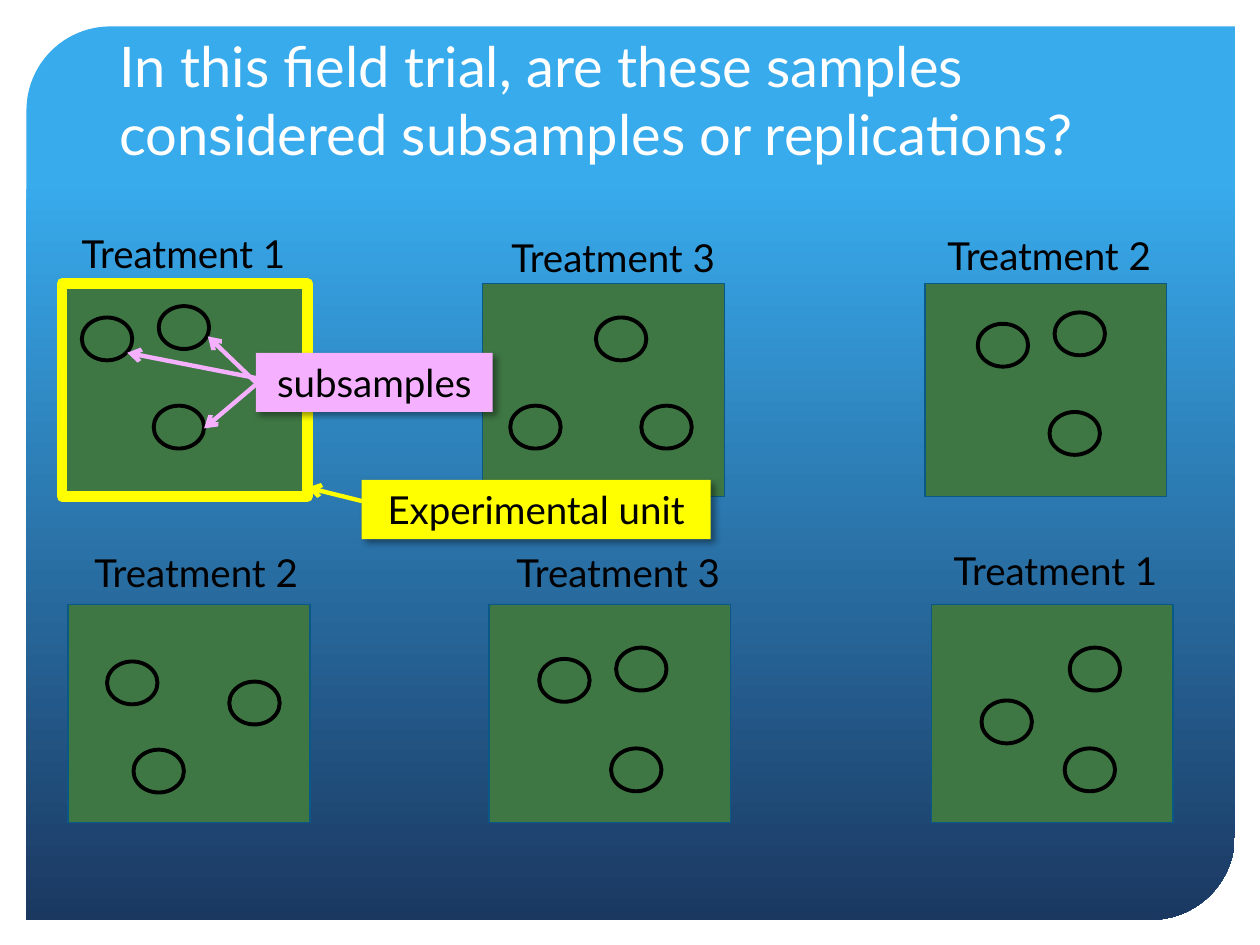
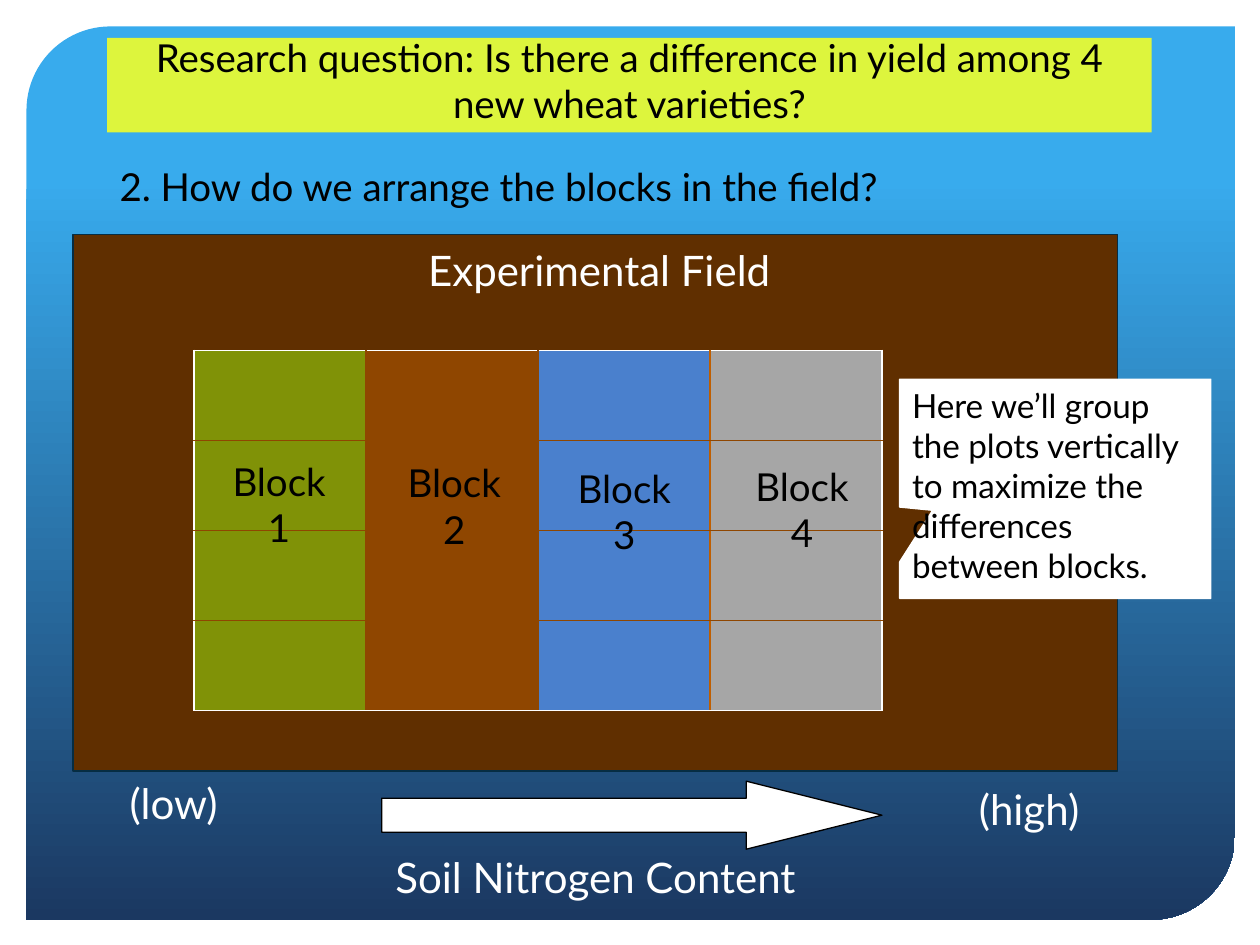
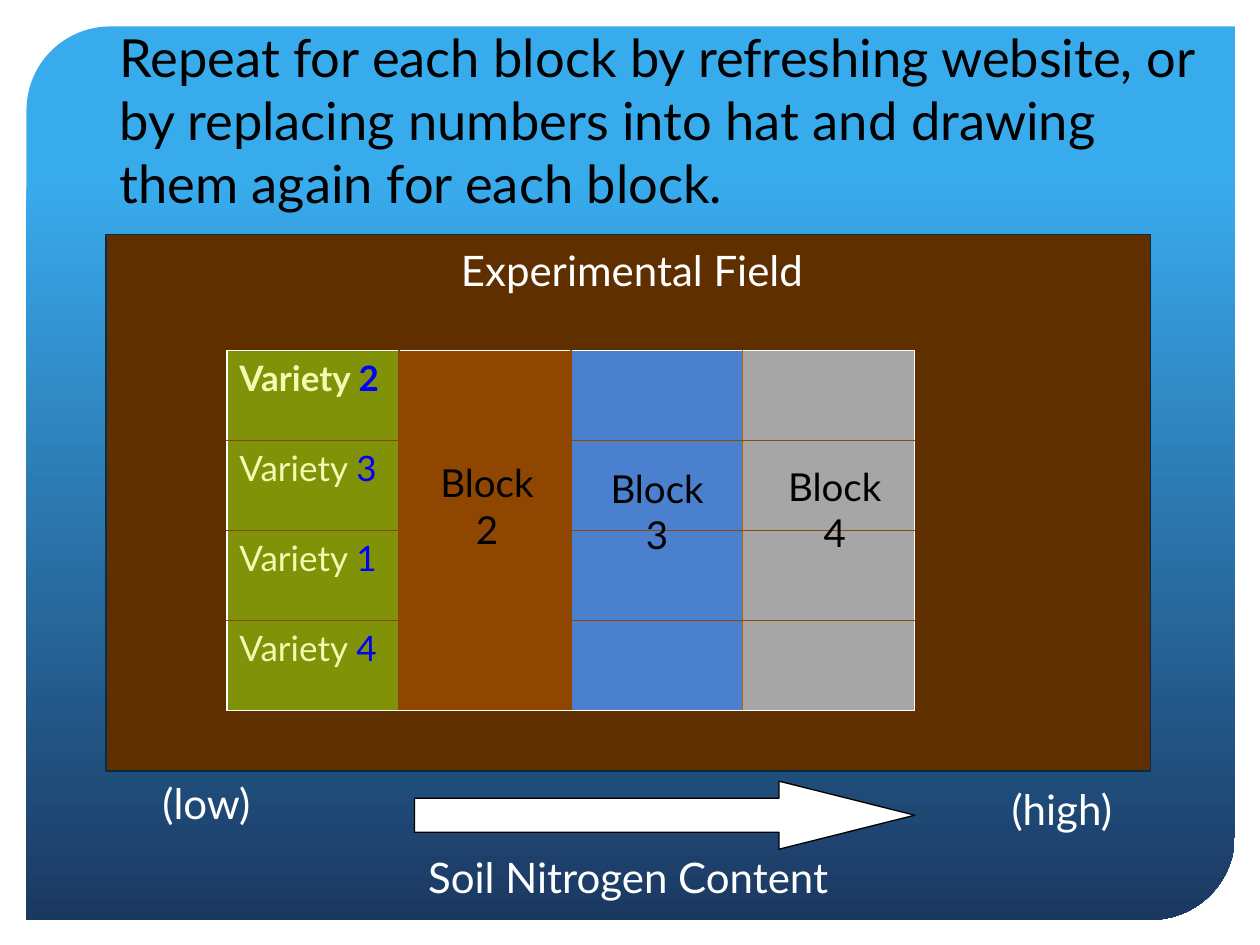
import lxml.etree
import pptx
import pptx.dml.color
import pptx.enum.shapes
import pptx.enum.text
import pptx.oxml.ns
import pptx.util

Inches = pptx.util.Inches
SHAPE = pptx.enum.shapes.MSO_SHAPE
ANCHOR = pptx.enum.text.MSO_ANCHOR
CENTER = pptx.enum.text.PP_ALIGN.CENTER
qn = pptx.oxml.ns.qn

BLACK, WHITE, YELLOW, PINK = "000000", "FFFFFF", "FFFF00", "F5B0FF"
SKY, NAVY, LIME = "38ABED", "1B3861", "DDF53D"
PLOT_GREEN, PLOT_EDGE = "3E7744", "095886"
SOIL, SOIL_EDGE = "602F00", "062D43"
BLOCK_FILLS = ["809207", "8F4600", "4A80CD", "A6A6A6"]
COLUMN_RULES = [WHITE, "8F4600", "8F4600", "BF5E00", WHITE]
ROW_RULES = [WHITE, "8F4600", "8F4600", "8F4600", WHITE]
VARIETY, VARIETY_NUMBER = "F1FBB1", "0000FF"

BLOCK_LABELS = {1: (1.01, 3.27), 2: (2.4, 3.28), 3: (3.75, 3.32), 4: (5.16, 3.31)}

PLOT_ROWS = [
    (2.25, 1.69, [
        (0.49, "Treatment 1", 0.55, 1.78, [(1.26, 2.43), (1.22, 3.22), (0.65, 2.52)]),
        (3.83, "Treatment 3", 3.96, 1.81, [(4.73, 2.52), (5.09, 3.22), (4.05, 3.22)]),
        (7.34, "Treatment 2", 7.42, 1.79, [(8.37, 2.48), (8.33, 3.27), (7.76, 2.57)]),
    ]),
    (4.8, 1.73, [
        (0.54, "Treatment 2", 0.65, 4.31, [(1.82, 5.41), (1.06, 5.95), (0.85, 5.25)]),
        (3.88, "Treatment 3", 4.0, 4.31, [(4.89, 5.14), (4.85, 5.94), (4.28, 5.23)]),
        (7.39, "Treatment 1", 7.47, 4.29, [(8.49, 5.14), (8.45, 5.94), (7.79, 5.56)]),
    ]),
]


def rgb(value):
    return pptx.dml.color.RGBColor.from_string(value)


def set_attrs(obj, values):
    for name, value in values.items():
        setattr(obj, name, value)


def add_run(p, text, size, color, bold=False):
    r = p.add_run()
    r.text = text
    set_attrs(r.font, {"name": "Lato", "size": pptx.util.Pt(size), "bold": bold})
    r.font.color.rgb = rgb(color)


def write(sp, lines, size, color=BLACK, align=None, anchor=ANCHOR.TOP, inset_y=0.05):
    tf = sp.text_frame
    set_attrs(tf, {
        "word_wrap": True,
        "vertical_anchor": anchor,
        "margin_left": Inches(0.1),
        "margin_right": Inches(0.1),
        "margin_top": Inches(inset_y),
        "margin_bottom": Inches(inset_y),
    })
    for i, line in enumerate(lines):
        p = tf.add_paragraph() if i else tf.paragraphs[0]
        p.alignment = align
        add_run(p, line, size, color)
    return tf


def add_text(s, box, lines, size, color=BLACK, **layout):
    sp = s.shapes.add_textbox(*map(Inches, box))
    return write(sp, lines, size, color, **layout)


def add_shape(s, kind, box, fill=None, line=None, width=0.75, adjust=()):
    sp = s.shapes.add_shape(kind, *map(Inches, box))
    sp.shadow.inherit = False
    for i, value in enumerate(adjust):
        sp.adjustments[i] = value
    if fill:
        sp.fill.solid()
        sp.fill.fore_color.rgb = rgb(fill)
    else:
        sp.fill.background()
    if line:
        sp.line.color.rgb = rgb(line)
        sp.line.width = pptx.util.Pt(width)
    else:
        sp.line.fill.background()
    return sp


def add_color(parent, color):
    fill = lxml.etree.SubElement(parent, qn("a:solidFill"))
    return lxml.etree.SubElement(fill, qn("a:srgbClr"), val=color)


def add_tag(s, box, text, fill):
    sp = add_shape(s, SHAPE.RECTANGLE, box, fill)
    effects = sp._element.spPr.find(qn("a:effectLst"))
    shadow = lxml.etree.SubElement(
        effects, qn("a:outerShdw"), blurRad=str(pptx.util.Pt(4)),
        dist=str(pptx.util.Pt(3)), dir="2700000", algn="tl", rotWithShape="0")
    tint = lxml.etree.SubElement(shadow, qn("a:srgbClr"), val=BLACK)
    lxml.etree.SubElement(tint, qn("a:alpha"), val="40000")
    write(sp, [text], 22, align=CENTER)
    return sp


def add_arrow(s, start, end, color):
    cn = s.shapes.add_connector(
        pptx.enum.shapes.MSO_CONNECTOR.STRAIGHT, *map(Inches, start + end))
    cn.line.color.rgb = rgb(color)
    cn.line.width = pptx.util.Pt(2.5)
    lxml.etree.SubElement(cn.line._get_or_add_ln(), qn("a:tailEnd"), type="arrow")
    lxml.etree.SubElement(cn._element.spPr, qn("a:effectLst"))
    return cn


def new_slide(prs):
    s = prs.slides.add_slide(prs.slide_layouts[6])
    sp = add_shape(s, SHAPE.ROUND_2_DIAG_RECTANGLE, (0.21, 0.21, 9.59, 7.09),
                   adjust=(0.094, 0))
    sp.fill.gradient()
    sp.fill.gradient_angle = 270
    for stop, position, color in zip(sp.fill.gradient_stops, (0.17, 1), (SKY, NAVY)):
        stop.position = position
        stop.color.rgb = rgb(color)
    return s


def add_title(s, box, text, size, color=BLACK):
    add_text(s, box, [text], size, color, anchor=ANCHOR.BOTTOM)


def add_plot(s, x, y, height, label, label_x, label_y):
    add_shape(s, SHAPE.RECTANGLE, (x, y, 1.92, height), PLOT_GREEN, PLOT_EDGE)
    tf = add_text(s, (label_x, label_y, 1.89, 0.47), [label], 22)
    set_attrs(tf, {"word_wrap": False,
                   "auto_size": pptx.enum.text.MSO_AUTO_SIZE.SHAPE_TO_FIT_TEXT})


def set_borders(cell, row, col):
    tc_pr = cell._tc.get_or_add_tcPr()
    colors = {"lnL": COLUMN_RULES[col], "lnR": COLUMN_RULES[col + 1],
              "lnT": ROW_RULES[row], "lnB": ROW_RULES[row + 1]}
    if col == 1 and row in (1, 2):
        colors["lnR"] = BLOCK_FILLS[1]
    for side, color in colors.items():
        ln = lxml.etree.SubElement(tc_pr, qn("a:" + side), w=str(pptx.util.Pt(1)))
        add_color(ln, color)


def add_block_table(s, x, varieties):
    table = s.shapes.add_table(
        4, 4, *map(Inches, (x, 2.78, 5.46, 2.86))).table
    set_attrs(table, {"first_row": False, "horz_banding": False})
    for column in table.columns:
        column.width = Inches(5.46 / 4)
    for row, table_row in enumerate(table.rows):
        table_row.height = Inches(2.86 / 4)
        for col, cell in enumerate(table_row.cells):
            set_borders(cell, row, col)
            cell.fill.solid()
            cell.fill.fore_color.rgb = rgb(BLOCK_FILLS[col])
    for row, number in enumerate(varieties):
        p = table.cell(row, 0).text_frame.paragraphs[0]
        add_run(p, "Variety ", 20, VARIETY, row == 0)
        add_run(p, number, 20, VARIETY_NUMBER, row == 0)


def add_field(s, x, blocks, varieties=()):
    add_shape(s, SHAPE.RECTANGLE, (x, 1.86, 8.29, 4.26), SOIL, SOIL_EDGE)
    add_shape(s, SHAPE.RIGHT_ARROW, (x + 2.45, 6.2, 3.97, 0.54), WHITE, BLACK,
              adjust=(0.5, 1.994))
    for text, dx, y, width in [
        ("Experimental Field", 2.72, 1.89, 3.43),
        ("Soil Nitrogen Content", 2.46, 6.71, 3.43),
        ("(low)", 0.35, 6.12, 1.04),
        ("(high)", 7.09, 6.17, 1.24),
    ]:
        add_text(s, (x + dx, y, width, 0.5), [text], 24, WHITE)
    add_block_table(s, x + 0.96, varieties)
    for number in blocks:
        dx, y = BLOCK_LABELS[number]
        add_text(s, (x + dx, y, 1.25, 1.88), ["Block", str(number)], 22,
                 align=CENTER, inset_y=0.5)


def build_trial(prs):
    s = new_slide(prs)
    add_title(s, (0.85, 0.63, 8.29, 0.74),
              "In this field trial, are these samples considered subsamples or replications?",
              32, WHITE)
    for y, height, plots in PLOT_ROWS:
        for x, label, label_x, label_y, samples in plots:
            add_plot(s, x, y, height, label, label_x, label_y)
            for sample in samples:
                add_shape(s, SHAPE.OVAL, sample + (0.4, 0.34), line=BLACK, width=2.25)
    add_shape(s, SHAPE.RECTANGLE, (0.49, 2.25, 1.95, 1.69), line=YELLOW, width=6)
    subsamples = add_tag(s, (2.03, 2.8, 1.88, 0.47), "subsamples", PINK)
    add_arrow(s, (2.03, 3.03), (1.65, 2.67), PINK).begin_connect(subsamples, 1)
    add_arrow(s, (3.25, 4.07), (2.44, 3.87), YELLOW)
    add_tag(s, (2.87, 3.81, 2.77, 0.47), "Experimental unit", YELLOW)
    for end in [(1.01, 2.8), (1.62, 3.4)]:
        add_arrow(s, (2.08, 3.01), end, PINK)


def build_blocks(prs):
    s = new_slide(prs)
    add_field(s, 0.58, (1, 2, 3, 4))
    callout = add_shape(s, SHAPE.RECTANGULAR_CALLOUT, (7.14, 3.01, 2.47, 1.74),
                        WHITE, WHITE, adjust=(-0.394, 0.098))
    write(callout, ["Here we’ll group the plots vertically to maximize "
                    "the differences between blocks."], 19,
          align=pptx.enum.text.PP_ALIGN.LEFT)
    add_title(s, (0.85, 0.57, 8.29, 1.14),
              "2. How do we arrange the blocks in the field?", 22)
    question = add_shape(s, SHAPE.RECTANGLE, (0.85, 0.3, 8.29, 0.75), LIME)
    write(question, ["Research question: Is there a difference in yield "
                     "among 4 new wheat varieties?"], 22,
          align=CENTER, anchor=ANCHOR.BOTTOM)


def build_varieties(prs):
    s = new_slide(prs)
    add_title(s, (0.85, 0.61, 8.77, 1.14),
              "Repeat for each block by refreshing website, or by replacing numbers "
              "into hat and drawing them again for each block.", 30)
    add_field(s, 0.84, (2, 3, 4), "2314")


def main():
    prs = pptx.Presentation()
    set_attrs(prs, {"slide_width": Inches(10), "slide_height": Inches(7.5)})
    build_trial(prs)
    build_blocks(prs)
    build_varieties(prs)
    prs.save("out.pptx")


if __name__ == "__main__":
    main()
